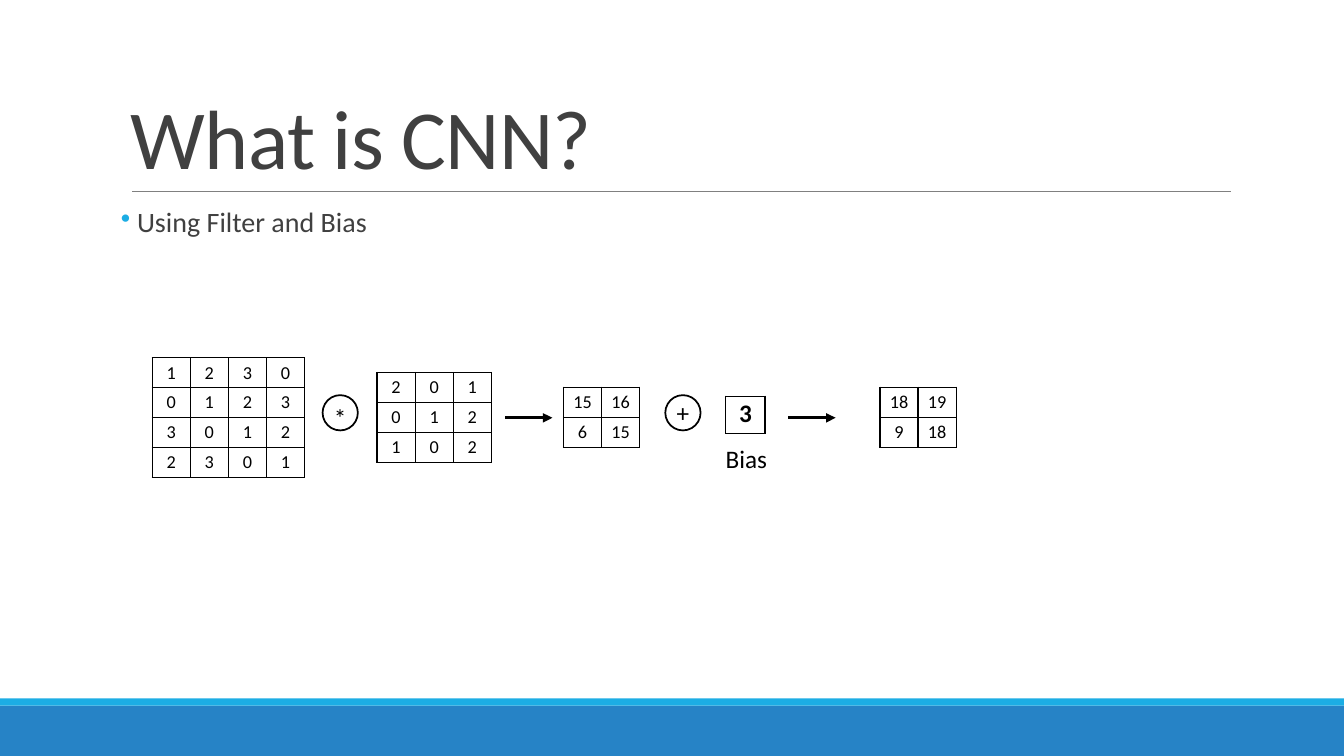
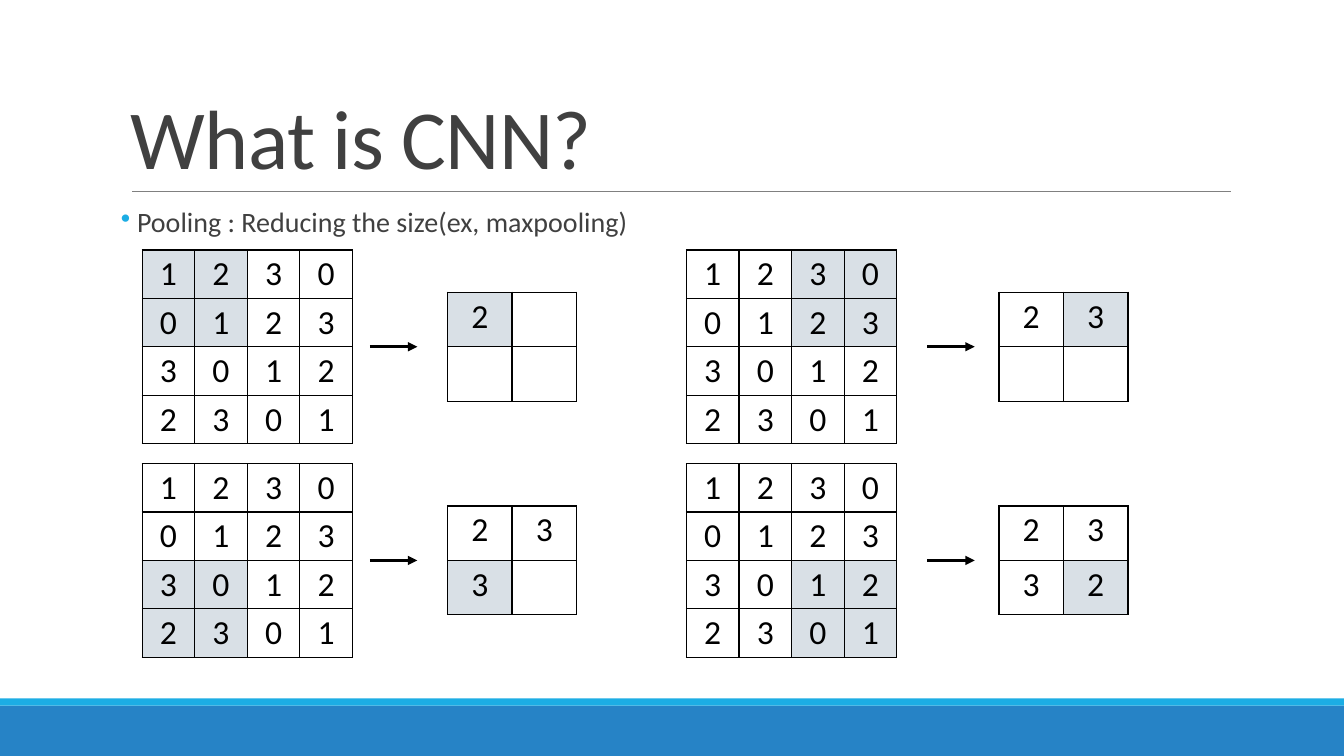
from dataclasses import dataclass
from itertools import product
from typing import Sequence

from lxml.etree import SubElement as Sub
from pptx import Presentation
from pptx.dml.color import RGBColor as Rgb
from pptx.enum.shapes import MSO_CONNECTOR as Wire, MSO_SHAPE as Form
from pptx.enum.text import MSO_ANCHOR as Anchor, PP_ALIGN as Align
from pptx.oxml import parse_xml
from pptx.oxml.ns import nsdecls, qn
from pptx.util import Emu, Inches, Pt

WIDE, HIGH = 133.33, 75  # grid of 0.1-inch cells
CELL = Inches(0.1)
FONT = "Calibri"
BLACK, INK, RULE = "000000", "404040", "808080"
BLUE, CYAN, TINT = "2683C6", "1CADE4", "D9E0E6"

Grid = Sequence[Sequence[int | None]]
INPUT = [[1, 2, 3, 0], [0, 1, 2, 3], [3, 0, 1, 2], [2, 3, 0, 1]]
FILTER = [[2, 0, 1], [0, 1, 2], [1, 0, 2]]
BIAS = 3


@dataclass(frozen=True)
class Look:
    """Cell size on the grid, inner margins and text of a matrix."""
    wide: float
    high: float
    size: int
    pad: tuple[float, float] = (0.7, 0.4)
    bold: bool = False


@dataclass(frozen=True)
class Sign:
    text: str
    left: float
    drop: float


@dataclass(frozen=True)
class Lane:
    """Left edges of one pooling step's parts."""
    source: float
    arrow: float
    result: float


SMALL = Look(3.78, 2.93, 13)
SINGLE = Look(3.9, 3.7, 18, (0.4, 0.2), True)
LARGE = Look(5.22, 4.8, 24)
POOL = Look(6.4, 5.4, 24)
SIGNS = [Sign("*", 32, 0.9), Sign("+", 66, 0)]
LANES = [Lane(14.1, 36.7, 44.4), Lane(68.1, 92, 99.1)]
MIDS = [34.4, 55.6]


def u(cells: float) -> Emu:
    return Emu(round(cells * CELL))


def box(*cells: float) -> list[Emu]:
    return [u(n) for n in cells]


def color(code: str) -> Rgb:
    return Rgb.from_string(code)


def add_run(para, text: str, size: int, code: str = BLACK, bold: bool = False):
    run = para.add_run()
    run.text = text
    font = run.font
    font.name, font.size, font.bold = FONT, Pt(size), bold
    font.color.rgb = color(code)
    return run


def add_text(slide, left: float, top: float, wide: float, high: float):
    frame = slide.shapes.add_textbox(*box(left, top, wide, high)).text_frame
    frame.word_wrap = True
    return frame


def add_band(slide, top: float, high: float, code: str) -> None:
    band = slide.shapes.add_shape(Form.RECTANGLE, *box(0, top, WIDE, high))
    band.shadow.inherit = False
    band.fill.solid()
    band.fill.fore_color.rgb = color(code)
    band.line.fill.background()


def add_line(slide, left: float, right: float, y: float, code: str, weight: float):
    line = slide.shapes.add_connector(Wire.STRAIGHT, *box(left, y, right, y))
    line.line.color.rgb = color(code)
    line.line.width = Pt(weight)
    Sub(line._element.spPr, qn("a:effectLst"))
    return line


def add_arrow(slide, left: float, y: float) -> None:
    arrow = add_line(slide, left, left + 4.7, y, BLACK, 2.25)
    Sub(arrow.line._get_or_add_ln(), qn("a:tailEnd"), type="triangle")


def add_sign(slide, sign: Sign, mid: float) -> None:
    """Draw an operator in a ring centred on mid."""
    side = 3.5
    ring = slide.shapes.add_shape(
        Form.OVAL, *box(sign.left, mid - side / 2, side, side))
    ring.shadow.inherit = False
    ring.fill.background()
    ring.line.color.rgb = color(BLACK)
    ring.line.width = Pt(1.25)
    frame = ring.text_frame
    frame.word_wrap = False
    frame.vertical_anchor = Anchor.MIDDLE
    frame.margin_left = frame.margin_right = frame.margin_bottom = 0
    frame.margin_top = u(sign.drop)
    para = frame.paragraphs[0]
    para.alignment = Align.CENTER
    add_run(para, sign.text, 18)


def set_edges(cell) -> None:
    props = cell._tc.get_or_add_tcPr()
    for spot, side in enumerate("LRTB"):
        props.insert(spot, parse_xml(
            f'<a:ln{side} {nsdecls("a")} w="{Pt(1)}"><a:solidFill>'
            f'<a:srgbClr val="{BLACK}"/></a:solidFill></a:ln{side}>'))


def add_matrix(slide, grid: Grid, left: float, mid: float, look: Look,
               marks: Sequence[tuple[int, int]] = ()) -> None:
    """Draw a number grid centred on mid, with the marked cells tinted."""
    rows, cols = len(grid), len(grid[0])
    high = rows * look.high
    table = slide.shapes.add_table(
        rows, cols, *box(left, mid - high / 2, cols * look.wide, high)).table
    table.first_row = table.horz_banding = False
    for col in table.columns:
        col.width = u(look.wide)
    for row in table.rows:
        row.height = u(look.high)
    for r, c in product(range(rows), range(cols)):
        cell = table.cell(r, c)
        cell.margin_left = cell.margin_right = u(look.pad[0])
        cell.margin_top = cell.margin_bottom = u(look.pad[1])
        if (r, c) in marks:
            cell.fill.solid()
            cell.fill.fore_color.rgb = color(TINT)
        else:
            cell.fill.background()
        set_edges(cell)
        if grid[r][c] is not None:
            para = cell.text_frame.paragraphs[0]
            para.alignment = Align.CENTER
            add_run(para, str(grid[r][c]), look.size, bold=look.bold)


def add_title(slide, text: str) -> None:
    frame = add_text(slide, 12, 3.1, 110, 15.9)
    frame.vertical_anchor = Anchor.BOTTOM
    para = frame.paragraphs[0]
    para.line_spacing = 0.85
    run = add_run(para, text, 60, INK)
    run.font._element.set("spc", "-50")


def add_point(slide, text: str) -> None:
    frame = add_text(slide, 12, 20.2, 110, 44)
    frame.margin_left = frame.margin_right = 0
    para = frame.paragraphs[0]
    para.line_spacing = 0.9
    para.space_before, para.space_after = Pt(12), Pt(2)
    props = para._p.get_or_add_pPr()
    props.set("marL", str(u(1.6)))
    props.set("indent", str(u(-1.6)))
    tone = Sub(props, qn("a:buClr"))
    Sub(tone, qn("a:srgbClr"), val=CYAN)
    Sub(props, qn("a:buChar"), char="•")
    add_run(para, text, 20, INK)


def add_slide(deck, point: str):
    """Start a slide with the shared bands, title and rule."""
    slide = deck.slides.add_slide(deck.slide_layouts[6])
    add_band(slide, 70, HIGH - 70, BLUE)
    add_band(slide, 69.3, 0.7, CYAN)
    add_line(slide, 13.1, 122.1, 19, RULE, 0.5)
    add_title(slide, "What is CNN?")
    add_point(slide, point)
    return slide


def convolve(grid: Grid, kernel: Grid) -> Grid:
    size = len(kernel)
    span = range(len(grid) - size + 1)
    return [[sum(grid[r + i][c + j] * kernel[i][j]
                 for i, j in product(range(size), repeat=2))
             for c in span] for r in span]


def draw_filter(deck) -> None:
    slide = add_slide(deck, "Using Filter and Bias")
    mid = 41.35
    output = convolve(INPUT, FILTER)
    total = [[n + BIAS for n in row] for row in output]
    for grid, left in [(INPUT, 15.1), (FILTER, 37.4), (output, 55.9), (total, 87.3)]:
        add_matrix(slide, grid, left, mid, SMALL)
    add_matrix(slide, [[BIAS]], 72, mid - 0.2, SINGLE)
    for sign in SIGNS:
        add_sign(slide, sign, mid - 0.4)
    for left in (50.1, 78.2):
        add_arrow(slide, left, mid + 0.1)
    label = add_text(slide, 71, 43.5, 6.1, 4)
    label.word_wrap = False
    add_run(label.paragraphs[0], "Bias", 18)


def draw_pool(deck) -> None:
    slide = add_slide(deck, "Pooling : Reducing the size(ex, maxpooling)")
    result: list[list[int | None]] = [[None, None], [None, None]]
    for r, c in product(range(2), repeat=2):
        lane, mid = LANES[c], MIDS[r]
        window = [(2 * r + i, 2 * c + j) for i, j in product(range(2), repeat=2)]
        result[r][c] = max(INPUT[i][j] for i, j in window)
        add_matrix(slide, INPUT, lane.source, mid, LARGE, window)
        add_arrow(slide, lane.arrow, mid)
        add_matrix(slide, result, lane.result, mid, POOL, [(r, c)])


def main() -> None:
    deck = Presentation()
    deck.slide_width, deck.slide_height = box(WIDE, HIGH)
    draw_filter(deck)
    draw_pool(deck)
    deck.save("out.pptx")


if __name__ == "__main__":
    main()
